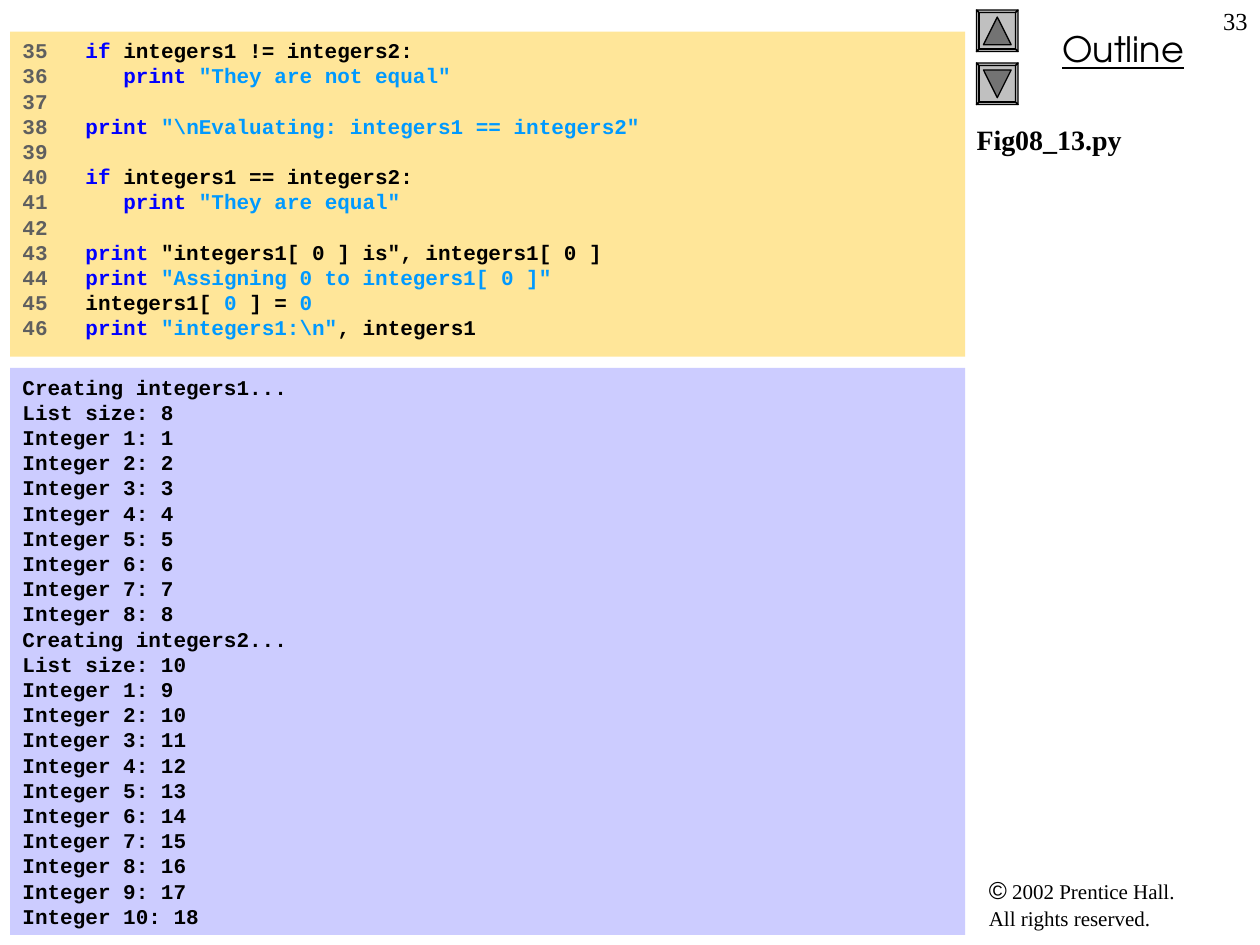
from pptx import Presentation
from pptx.dml.color import RGBColor
from pptx.enum import shapes, text
from pptx.util import Inches, Pt

BLACK = RGBColor(0x00, 0x00, 0x00)
NUMBER = RGBColor(0x5F, 0x5F, 0x5F)
KEYWORD = RGBColor(0x00, 0x00, 0xFF)
LITERAL = RGBColor(0x00, 0x99, 0xFF)
CODE_FILL = RGBColor(0xFF, 0xE6, 0x99)
OUTPUT_FILL = RGBColor(0xCC, 0xCC, 0xFF)
BUTTON_FILL = RGBColor(0xC0, 0xC0, 0xC0)
ARROW_FILL = RGBColor(0x73, 0x73, 0x73)

SERIF, SANS, MONO = "Times New Roman", "Arial", "Courier New"
HEADING = "TeX Gyre Adventor"

# Each code line: number, then (words, colour) pieces
CODE = [
    ("35   ", ("if", KEYWORD), (" integers1 != integers2:", BLACK)),
    ("36      ", ("print ", KEYWORD), ('"They are not equal"', LITERAL)),
    ("37",),
    ("38   ", ("print ", KEYWORD),
     (r'"\nEvaluating: integers1 == integers2"', LITERAL)),
    ("39",),
    ("40   ", ("if", KEYWORD), (" integers1 == integers2:", BLACK)),
    ("41      ", ("print ", KEYWORD), ('"They are equal"', LITERAL)),
    ("42",),
    ("43   ", ("print", KEYWORD),
     (' "integers1[ 0 ] is", integers1[ 0 ]', BLACK)),
    ("44   ", ("print ", KEYWORD),
     ('"Assigning 0 to integers1[ 0 ]"', LITERAL)),
    ("45   ", ("integers1[", BLACK), (" 0", LITERAL), (" ] =", BLACK),
     (" 0", LITERAL)),
    ("46   ", ("print ", KEYWORD), (r'"integers1:\n"', LITERAL),
     (", integers1", BLACK)),
]


def add_run(paragraph, words, size, font, color=BLACK, bold=False):
    run = paragraph.add_run()
    run.text = words
    run.font.size = Pt(size)
    run.font.name = font
    run.font.bold = bold
    run.font.color.rgb = color
    return run


def prepare_frame(shape, left_inset=0.1):
    frame = shape.text_frame
    frame.word_wrap = True
    frame.vertical_anchor = text.MSO_ANCHOR.TOP
    frame.margin_left, frame.margin_right = Inches(left_inset), Inches(0.1)
    frame.margin_top = frame.margin_bottom = Inches(0.05)
    return frame


def add_label(slide, box, align=text.PP_ALIGN.LEFT, left_inset=0.1):
    label = slide.shapes.add_textbox(*map(Inches, box))
    paragraph = prepare_frame(label, left_inset).paragraphs[0]
    paragraph.alignment = align
    return paragraph


def add_listing(slide, box, fill, lines):
    """Filled panel of monospaced lines, each a list of (words, colour)."""
    panel = slide.shapes.add_shape(shapes.MSO_SHAPE.RECTANGLE,
                                   *map(Inches, box))
    panel.shadow.inherit = False
    panel.fill.solid()
    panel.fill.fore_color.rgb = fill
    panel.line.fill.background()
    frame = prepare_frame(panel)
    for index, pieces in enumerate(lines):
        paragraph = frame.add_paragraph() if index else frame.paragraphs[0]
        paragraph.alignment = text.PP_ALIGN.LEFT
        paragraph.line_spacing = Pt(14.4)
        for words, color in pieces:
            add_run(paragraph, words, 12, MONO, color, bold=True)


def add_code(slide, box):
    lines = [[(number, NUMBER), *pieces] for number, *pieces in CODE]
    add_listing(slide, box, CODE_FILL, lines)


def add_output(slide, box):
    lines = []
    for name, values in (("integers1", range(1, 9)),
                         ("integers2", range(9, 19))):
        lines += [f"Creating {name}...", f"List size: {len(values)}"]
        lines += [f"Integer {i}: {value}" for i, value in enumerate(values, 1)]
    add_listing(slide, box, OUTPUT_FILL, [[(line, BLACK)] for line in lines])


def add_outline(slide, contours, fill):
    first, *others = [[(Inches(x), Inches(y)) for x, y in contour]
                      for contour in contours]
    builder = slide.shapes.build_freeform(*first[0])
    builder.add_line_segments(first[1:])
    for contour in others:
        builder.move_to(*contour[0])
        builder.add_line_segments(contour[1:])
    outline = builder.convert_to_shape()
    outline.shadow.inherit = False
    outline.fill.solid()
    outline.fill.fore_color.rgb = fill
    outline.line.color.rgb = BLACK
    outline.line.width = Pt(0.75)


def add_button(slide, left, top, side, direction):
    """Bevelled button; direction is -1 for up and 1 for down."""
    def square(inset):
        near, far = inset, side - inset
        return [(left + x, top + y) for x, y in
                ((near, near), (far, near), (far, far), (near, far))]

    # Face and four bevel edges
    outer, inner = square(0), square(0.02)
    edges = [[outer[i - 1], outer[i], inner[i], inner[i - 1]]
             for i in range(4)]
    add_outline(slide, [inner, *edges], BUTTON_FILL)

    # Arrow
    x, y = left + side / 2, top + side / 2
    tip, base = y + 0.11 * direction, y - 0.11 * direction
    add_outline(slide, [[(x, tip), (x + 0.11, base), (x - 0.11, base)]],
                ARROW_FILL)


def add_sidebar(slide, left, top, width):
    # Copyright
    notice = add_label(slide, (left, top + 6.92, 2.17, 0.54))
    notice.line_spacing = Pt(14.9)
    add_run(notice, "©", 14, SANS)
    add_run(notice, " 2002 Prentice Hall.", 12, SERIF)
    notice.add_line_break()
    add_run(notice, "All rights reserved.", 12, SERIF)

    # Heading
    heading = add_label(slide, (left + 0.08, top + 0.17, 2.17, 0.44),
                        text.PP_ALIGN.CENTER)
    add_run(heading, "Outline", 20, HEADING).font.underline = True

    # Navigation buttons
    for button_top, direction in ((0.08, -1), (0.5, 1)):
        add_button(slide, left, top + button_top, 0.33, direction)

    # File name
    file_name = add_label(slide, (left, top + 0.92, width, 6), left_inset=0)
    add_run(file_name, "Fig08_13.py", 16, SERIF, bold=True)

    # Page number
    page = add_label(slide, (left + width - 0.5, top, 0.5, 0.5),
                     text.PP_ALIGN.RIGHT)
    add_run(page, "33", 14, SERIF)


def main():
    deck = Presentation()
    deck.slide_width, deck.slide_height = Inches(10), Inches(7.5)
    slide = deck.slides.add_slide(deck.slide_layouts[6])
    add_sidebar(slide, 7.75, 0, 2.25)
    add_code(slide, (0.08, 0.25, 7.58, 2.58))
    add_output(slide, (0.08, 2.92, 7.58, 4.5))
    deck.save("out.pptx")


if __name__ == "__main__":
    main()
